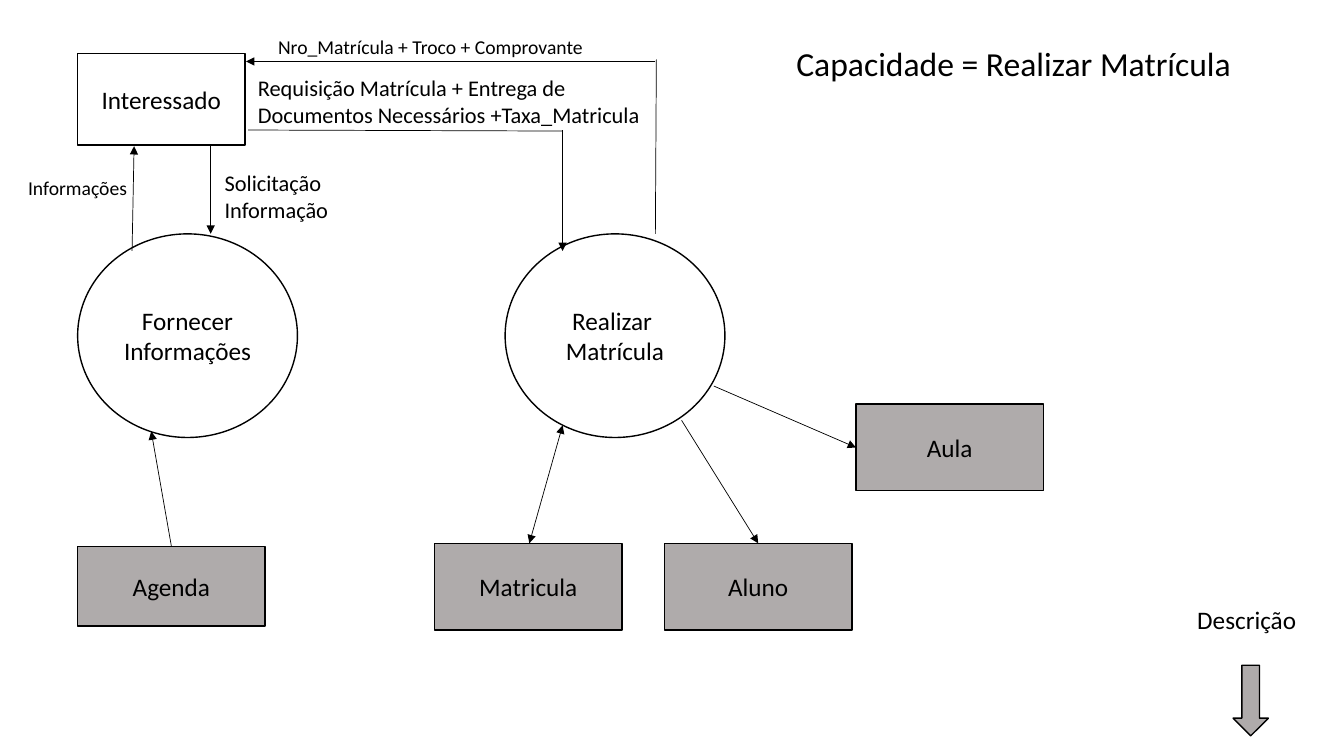
from dataclasses import dataclass

from lxml.etree import SubElement
from pptx import Presentation
from pptx.dml.color import RGBColor
from pptx.enum.shapes import MSO_CONNECTOR, MSO_SHAPE
from pptx.enum.text import MSO_ANCHOR, PP_ALIGN
from pptx.oxml.ns import qn
from pptx.util import Inches, Pt


@dataclass(frozen=True)
class Theme:
    """Hold the colours, font and sizes of the diagram."""

    ink: RGBColor = RGBColor(0x00, 0x00, 0x00)
    paper: RGBColor = RGBColor(0xFF, 0xFF, 0xFF)
    store: RGBColor = RGBColor(0xAF, 0xAB, 0xAB)
    font: str = "Calibri"
    title: int = 24
    node: int = 18
    flow: int = 16
    small: int = 14
    outline: float = 1
    arrow: float = 0.5


THEME = Theme()
STORE_WIDTH, STORE_HEIGHT = 1.86, 0.86
CIRCLE_SIZE = (2.18, 2.02)
CIRCLE_TOP, STORE_TOP = 2.32, 5.39


def write_text(frame, text, size=THEME.node, align=PP_ALIGN.LEFT, anchor=MSO_ANCHOR.TOP):
    """Fill a text frame with one paragraph for each line of text."""
    frame.word_wrap = True
    frame.vertical_anchor = anchor
    for index, line in enumerate(text.split("\n")):
        paragraph = frame.paragraphs[0] if index == 0 else frame.add_paragraph()
        paragraph.alignment = align
        run = paragraph.add_run()
        run.text = line
        run.font.name = THEME.font
        run.font.size = Pt(size)
        run.font.color.rgb = THEME.ink


def add_node(slide, kind, box, text="", fill=THEME.paper):
    """Add an outlined shape with centred text."""
    shape = slide.shapes.add_shape(kind, *map(Inches, box))
    shape.shadow.inherit = False
    shape.fill.solid()
    shape.fill.fore_color.rgb = fill
    shape.line.color.rgb = THEME.ink
    shape.line.width = Pt(THEME.outline)
    if text:
        write_text(shape.text_frame, text, align=PP_ALIGN.CENTER, anchor=MSO_ANCHOR.MIDDLE)


def add_store(slide, text, left, top=STORE_TOP, height=STORE_HEIGHT):
    """Add a grey data store."""
    add_node(slide, MSO_SHAPE.RECTANGLE, (left, top, STORE_WIDTH, height), text, THEME.store)


def add_label(slide, box, text, **text_format):
    """Add a text box."""
    label = slide.shapes.add_textbox(*map(Inches, box))
    write_text(label.text_frame, text, **text_format)


def add_flow(slide, start, end, ends=("tailEnd",)):
    """Add a thin line with triangles at the named ends."""
    flow = slide.shapes.add_connector(MSO_CONNECTOR.STRAIGHT, *map(Inches, start + end))
    flow.line.color.rgb = THEME.ink
    flow.line.width = Pt(THEME.arrow)
    for name in ends:
        SubElement(flow.line._get_or_add_ln(), qn(f"a:{name}"), type="triangle")
    SubElement(flow._element.spPr, qn("a:effectLst"))


def add_nodes(slide):
    """Add the external entity, the processes and the data stores."""
    add_node(slide, MSO_SHAPE.RECTANGLE, (0.77, 0.53, 1.66, 0.91), "Interessado")
    for left, text in ((0.77, "Fornecer Informações"), (5.01, "Realizar\u00a0\nMatrícula")):
        add_node(slide, MSO_SHAPE.OVAL, (left, CIRCLE_TOP, *CIRCLE_SIZE), text)
    add_store(slide, "Agenda", 0.77, top=5.42, height=0.79)
    add_store(slide, "Matricula", 4.31)
    add_store(slide, "Aluno", 6.59)
    add_store(slide, "Aula", 8.49, top=4.01)
    add_node(slide, MSO_SHAPE.DOWN_ARROW, (12.23, 6.6, 0.35, 0.7), fill=THEME.store)


def add_labels(slide):
    """Add the title and the names of the flows."""
    add_label(slide, (7.8, 0.38, 4.6, 0.5), "Capacidade = Realizar Matrícula", size=THEME.title)
    add_label(slide, (0.18, 1.7, 1.91, 0.34), "Informações", size=THEME.small)
    add_label(slide, (2.13, 1.63, 3, 0.64), "Solicitação\u00a0\nInformação", size=THEME.flow)
    add_label(
        slide,
        (2.46, 0.69, 4.34, 0.64),
        "Requisição Matrícula + Entrega de Documentos Necessários +Taxa_Matricula",
        size=THEME.flow,
    )
    add_label(
        slide, (2.66, 0.3, 3.7, 0.34), "Nro_Matrícula + Troco + Comprovante", size=THEME.small
    )
    add_label(slide, (11.72, 5.95, 1.29, 0.4), "Descrição", align=PP_ALIGN.CENTER)


def add_flows(slide):
    """Add the lines between the nodes."""
    add_flow(slide, (6.51, 0.59), (6.5, CIRCLE_TOP), ends=())
    add_flow(slide, (6.5, 0.61), (2.44, 0.61))
    add_flow(slide, (2.46, 1.29), (5.58, 1.3), ends=())
    add_flow(slide, (5.58, 1.29), (5.58, 2.49))
    add_flow(slide, (1.31, 2.49), (1.33, 1.45))
    add_flow(slide, (2.09, 1.45), (2.09, CIRCLE_TOP))
    add_flow(slide, (1.7, 5.42), (1.5, 4.28))
    add_flow(slide, (5.25, STORE_TOP), (5.58, 4.22), ends=("headEnd", "tailEnd"))
    add_flow(slide, (6.76, 4.17), (7.52, STORE_TOP))
    add_flow(slide, (7.08, 3.83), (8.49, 4.44))


def main():
    """Build and save the slide."""
    presentation = Presentation()
    presentation.slide_width = Inches(13.33)
    presentation.slide_height = Inches(7.5)
    slide = presentation.slides.add_slide(presentation.slide_layouts[6])
    add_nodes(slide)
    add_labels(slide)
    add_flows(slide)
    presentation.save("out.pptx")


main()
